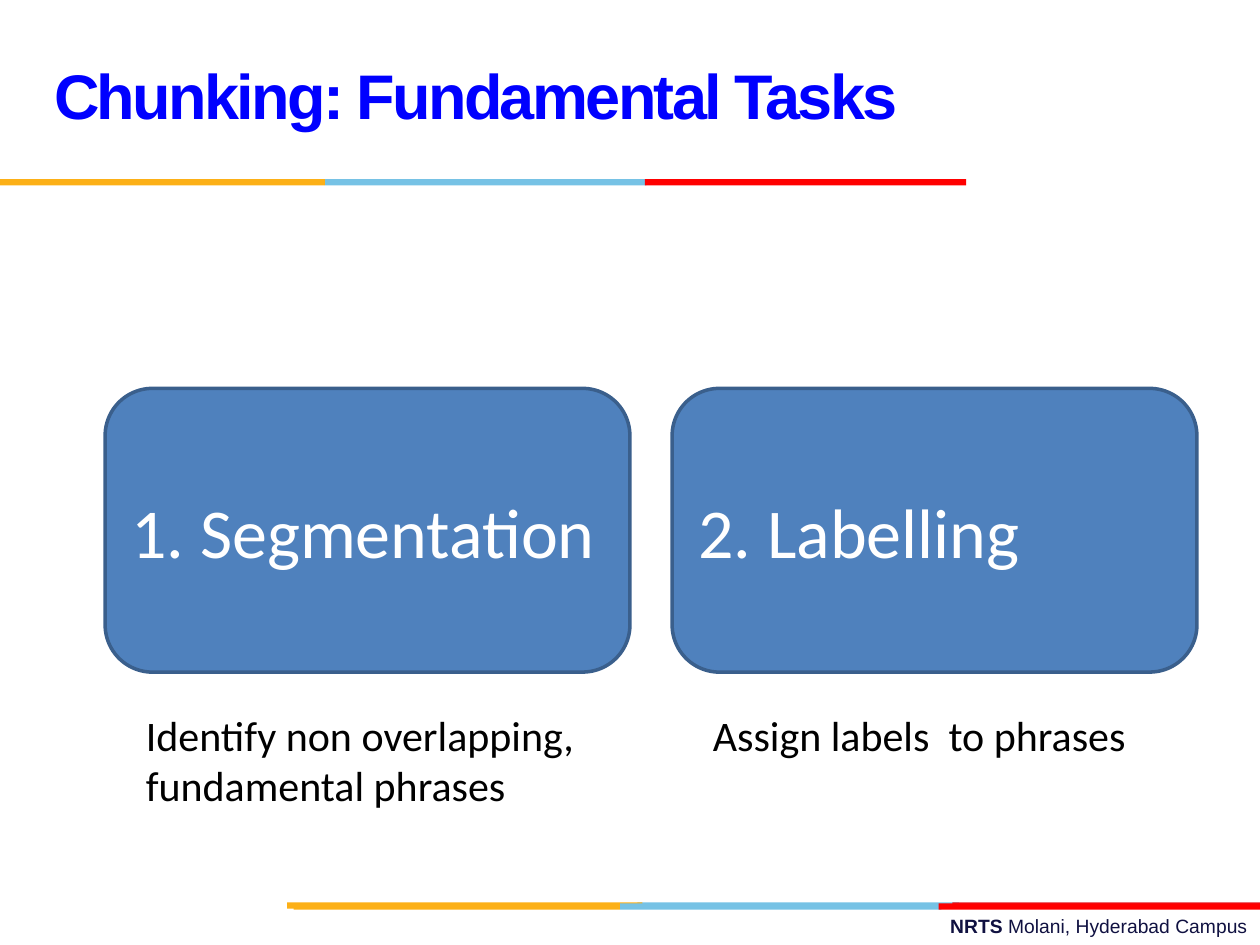
from pptx import Presentation
from pptx.dml.color import RGBColor
from pptx.enum.shapes import MSO_SHAPE as Shape
from pptx.enum.text import MSO_ANCHOR as Anchor, PP_ALIGN as Align
from pptx.util import Cm, Pt

COLORS = {
    "title": "0000FF", "footer": "101141", "text": "000000", "white": "FFFFFF",
    "card": "4F81BD", "edge": "3A5F8C",
    "amber": "FCB017", "sky": "76C2E5", "red": "FF0000", "crimson": "E31C24",
}

# Stripes as (color, left, width) in cm, from back to front
LOWER_BACK = [("sky", 12.85, 6.48), ("crimson", 19.2, 6.2), ("amber", 5.79, 7.16)]
LOWER_FRONT = [("sky", 12.5, 6.48), ("amber", 5.92, 6.58), ("red", 18.92, 6.48)]
UPPER = [("sky", 6.55, 6.48), ("amber", 0, 6.55), ("red", 13, 6.48)]

TASKS = [
    ("1. Segmentation", ["Identify non overlapping,", "fundamental phrases"]),
    ("2. Labelling", ["Assign labels  to phrases"]),
]
CARD_LEFT, CARD_STEP = 2.12, 11.43


def rgb(name):
    return RGBColor.from_string(COLORS[name])


def style(r, font, size, color, bold=False):
    r.font.name = font
    r.font.size = Pt(size)
    r.font.bold = bold
    r.font.color.rgb = rgb(color)


def add_stripes(s, top, stripes):
    for color, left, width in stripes:
        sp = s.shapes.add_shape(Shape.RECTANGLE, Cm(left), Cm(top), Cm(width), Cm(0.13))
        sp.shadow.inherit = False
        sp.fill.solid()
        sp.fill.fore_color.rgb = rgb(color)
        sp.line.fill.background()


def add_text(s, left, top, width, height, wrap=True):
    sp = s.shapes.add_textbox(Cm(left), Cm(top), Cm(width), Cm(height))
    tf = sp.text_frame
    tf.word_wrap = wrap
    return tf


def add_title(s, text):
    tf = add_text(s, 0.84, 0.43, 17.58, 3.18)
    tf.vertical_anchor = Anchor.MIDDLE
    tf.text = text
    p = tf.paragraphs[0]
    p.line_spacing = Pt(36)
    r = p.runs[0]
    style(r, "Arial", 36, "title", bold=True)
    r.font._element.set("spc", "-150")  # tighter letter spacing


def add_footer(s, name, rest):
    p = add_text(s, 9.09, 18.31, 16.31, 0.74).paragraphs[0]
    p.alignment = Align.RIGHT
    for text, bold in ((name, True), (rest, False)):
        r = p.add_run()
        r.text = text
        style(r, "Arial", 11, "footer", bold)


def add_card(s, left, text):
    sp = s.shapes.add_shape(Shape.ROUNDED_RECTANGLE, Cm(left), Cm(7.83), Cm(10.58), Cm(5.72))
    sp.shadow.inherit = False
    sp.fill.solid()
    sp.fill.fore_color.rgb = rgb("card")
    sp.line.color.rgb = rgb("edge")
    sp.line.width = Pt(2)
    tf = sp.text_frame
    tf.vertical_anchor = Anchor.MIDDLE
    tf.text = text
    p = tf.paragraphs[0]
    p.alignment = Align.LEFT
    style(p.runs[0], "Calibri", 40, "white")


def add_caption(s, left, lines):
    tf = add_text(s, left, 14.17, 9.2, 0.28 + 1.02 * len(lines), wrap=False)
    tf.text = "\n".join(lines)
    for p in tf.paragraphs:
        style(p.runs[0], "Calibri", 24, "text")


def main():
    prs = Presentation()
    prs.slide_width, prs.slide_height = Cm(25.4), Cm(19.05)
    s = prs.slides.add_slide(prs.slide_layouts[6])

    # Footer and colored stripes
    add_footer(s, "NRTS ", "Molani, Hyderabad Campus")
    add_stripes(s, 18.19, LOWER_BACK)
    add_stripes(s, 18.21, LOWER_FRONT)
    add_stripes(s, 3.61, UPPER)

    # Title
    add_title(s, "Chunking: Fundamental Tasks")

    # Task cards with captions
    for i, (name, lines) in enumerate(TASKS):
        left = CARD_LEFT + i * CARD_STEP
        add_card(s, left, name)
        add_caption(s, left + 0.57, lines)

    prs.save("out.pptx")


if __name__ == "__main__":
    main()
